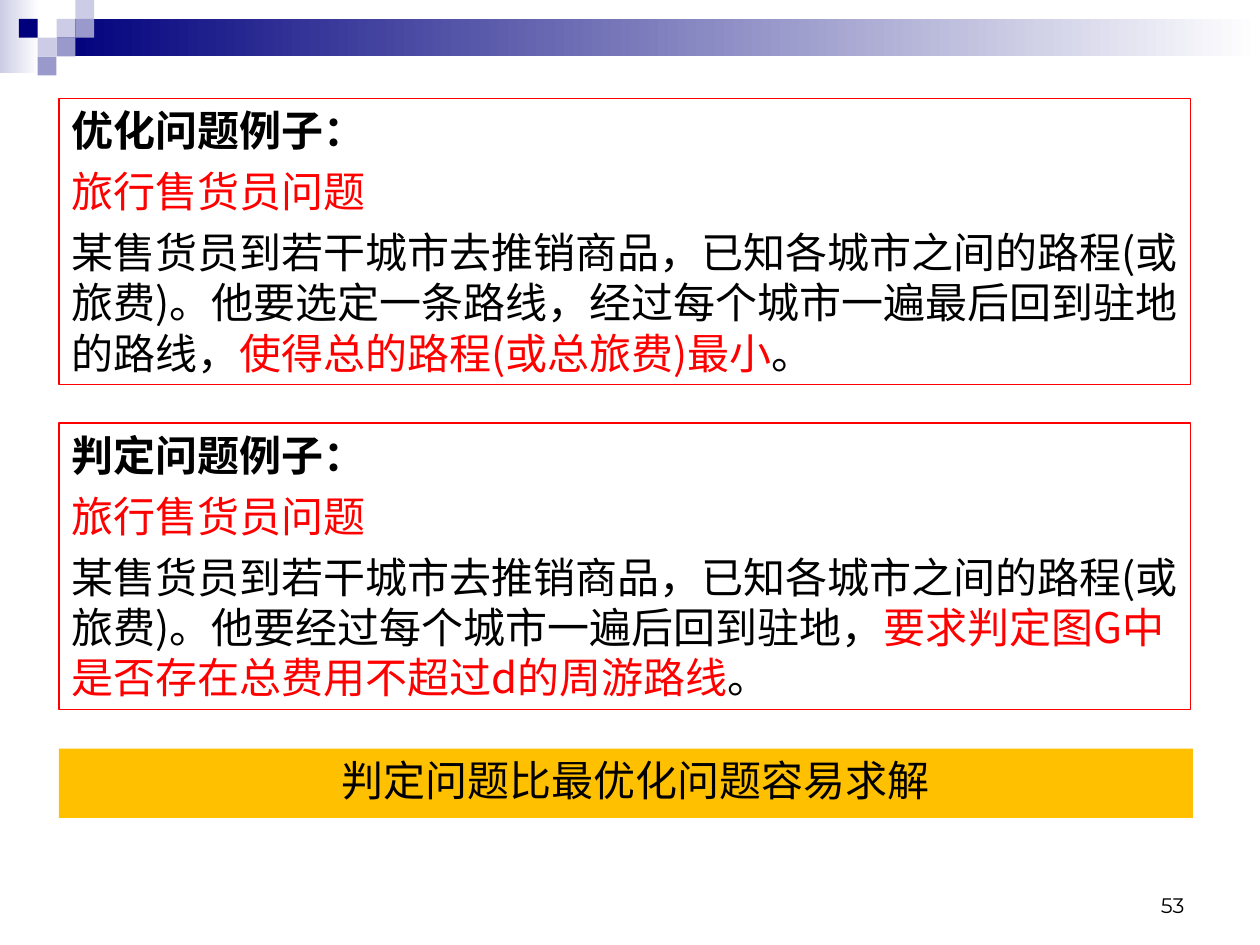
from pptx import Presentation
from pptx.dml.color import RGBColor
from pptx.enum.shapes import MSO_SHAPE
from pptx.enum.text import MSO_ANCHOR, MSO_AUTO_SIZE, PP_ALIGN
from pptx.oxml.ns import qn
from pptx.util import Cm, Pt
from lxml import etree

RECTANGLE = MSO_SHAPE.RECTANGLE
TOP, BOTTOM = MSO_ANCHOR.TOP, MSO_ANCHOR.BOTTOM
LEFT, CENTER, RIGHT = PP_ALIGN.LEFT, PP_ALIGN.CENTER, PP_ALIGN.RIGHT
FIT_SHAPE = MSO_AUTO_SIZE.SHAPE_TO_FIT_TEXT

CJK = "Noto Sans CJK SC"
BLACK, RED, WHITE = "000000", "FF0000", "FFFFFF"
NAVY, LILAC, VIOLET, AMBER = "00007D", "CCCCE6", "9999CC", "FFC000"
UNIT = 0.38
SQUARES = [(3, 1, LILAC), (4, 0, LILAC), (4, 1, VIOLET), (2, 2, LILAC),
           (1, 1, NAVY), (3, 2, VIOLET), (2, 3, VIOLET)]

INTRO = "某售货员到若干城市去推销商品，已知各城市之间的路程(或旅费)。"
EXAMPLES = [
    ("优化问题例子：",
     "他要选定一条路线，经过每个城市一遍最后回到驻地的路线，",
     "使得总的路程(或总旅费)最小"),
    ("判定问题例子：",
     "他要经过每个城市一遍后回到驻地，",
     "要求判定图G中是否存在总费用不超过d的周游路线"),
]


def color(value):
    return RGBColor.from_string(value)


def add_rectangle(slide, left, top, width, height, fill=None, line=None):
    box = slide.shapes.add_shape(RECTANGLE, Cm(left), Cm(top), Cm(width), Cm(height))
    box.shadow.inherit = False
    if fill:
        box.fill.solid()
        box.fill.fore_color.rgb = color(fill)
    else:
        box.fill.background()
    if line:
        box.line.color.rgb = color(line)
        box.line.width = Pt(0.75)
    else:
        box.line.fill.background()
    return box


def add_fade(slide, left, top, width, height, start):
    box = add_rectangle(slide, left, top, width, height)
    box.fill.gradient()
    box.fill.gradient_angle = 0
    for stop, value in zip(box.fill.gradient_stops, (start, WHITE)):
        stop.color.rgb = color(value)


def prepare_frame(box, anchor=TOP):
    frame = box.text_frame
    frame.word_wrap = True
    frame.vertical_anchor = anchor
    return frame


def add_span(para, text, value=BLACK, size=24, font=CJK, bold=False):
    span = para.add_run()
    span.text = text
    span.font.size = Pt(size)
    span.font.name = font
    span.font.bold = bold
    span.font.color.rgb = color(value)
    east_asian = etree.SubElement(span.font._element, qn("a:ea"))
    east_asian.set("typeface", CJK)


def add_header(slide):
    add_fade(slide, 0, 0, 0.79, 1.47, LILAC)
    add_fade(slide, 3 * UNIT, UNIT, 25.4 - 3 * UNIT, 2 * UNIT, NAVY)
    for column, row, fill in SQUARES:
        add_rectangle(slide, column * UNIT, row * UNIT, UNIT, UNIT, fill)


def add_example(slide, top, heading, task, goal):
    box = add_rectangle(slide, 1.19, top, 22.81, 5.77, line=RED)
    frame = prepare_frame(box)
    frame.auto_size = FIT_SHAPE
    title, subject, body = frame.paragraphs[0], frame.add_paragraph(), frame.add_paragraph()
    for para in (title, subject, body):
        para.alignment = LEFT
    subject.space_before = subject.space_after = Pt(6)
    add_span(title, heading, font="Arial", bold=True)
    add_span(subject, "旅行售货员问题", RED)
    add_span(body, INTRO + task)
    add_span(body, goal, RED)
    add_span(body, "。")


def add_conclusion(slide):
    box = add_rectangle(slide, 1.19, 15.09, 22.86, 1.4, AMBER)
    frame = prepare_frame(box)
    frame.margin_left = Cm(0.64)
    para = frame.paragraphs[0]
    para.alignment = CENTER
    add_span(para, "判定问题比最优化问题容易求解")


def add_page_number(slide):
    box = slide.shapes.add_textbox(Cm(18.21), Cm(17.35), Cm(5.92), Cm(1.27))
    para = prepare_frame(box, BOTTOM).paragraphs[0]
    para.alignment = RIGHT
    add_span(para, "53", size=12, font="Montserrat")


def main():
    deck = Presentation()
    deck.slide_width, deck.slide_height = Cm(25.4), Cm(19.05)
    slide = deck.slides.add_slide(deck.slide_layouts[6])
    add_header(slide)
    add_page_number(slide)
    for index, example in enumerate(EXAMPLES):
        add_example(slide, 1.98 + index * 6.55, *example)
    add_conclusion(slide)
    deck.save("out.pptx")


main()
